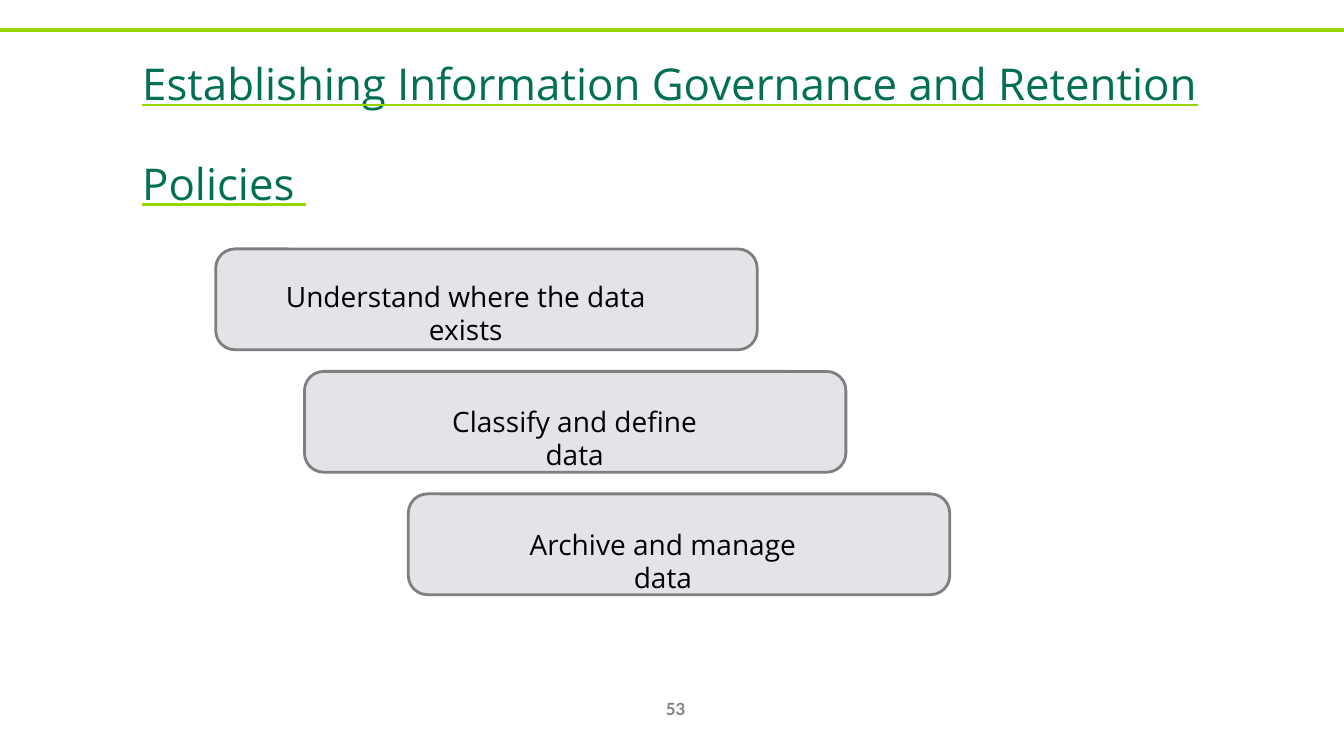
from dataclasses import dataclass

from lxml import etree
from pptx import Presentation
from pptx.dml.color import RGBColor
from pptx.enum import shapes, text
from pptx.oxml import ns
from pptx.slide import Slide
from pptx.text.text import Font
from pptx.util import Inches, Pt

LIME = RGBColor(0x95, 0xD6, 0x00)
GREEN = RGBColor(0x00, 0x6F, 0x53)
PALE_GREY = RGBColor(0xE4, 0xE3, 0xE8)
MID_GREY = RGBColor(0x7F, 0x7F, 0x7F)
NUMBER_GREY = RGBColor(0x80, 0x80, 0x80)
BLACK = RGBColor(0x00, 0x00, 0x00)

STEP_WIDTH, STEP_HEIGHT = 5.37, 1.0
STEP_TOP, STEP_PITCH = 2.47, 1.215


@dataclass
class Step:
    label: str
    left: float
    label_left: float
    label_top: float
    label_width: float


STEPS = [
    Step("Understand where the data exists", 2.14, 2.43, 2.72, 4.38),
    Step("Classify and define data", 3.02, 4.1, 3.96, 3.2),
    Step("Archive and manage data", 4.05, 4.87, 5.18, 3.41),
]


def style_font(font: Font, name: str, size: float, color: RGBColor) -> None:
    font.name = name
    font.size = Pt(size)
    font.color.rgb = color


def add_label(page: Slide, words: str, left: float, top: float, width: float,
              height: float) -> Font:
    """Add a centred text box and return the font of its only run."""
    box = page.shapes.add_textbox(Inches(left), Inches(top), Inches(width), Inches(height))
    box.text_frame.word_wrap = True
    box.text_frame.text = words
    para = box.text_frame.paragraphs[0]
    para.alignment = text.PP_ALIGN.CENTER
    return para.runs[0].font


def add_rule(page: Slide) -> None:
    rule = page.shapes.add_connector(shapes.MSO_CONNECTOR.STRAIGHT, 0, Inches(0.3),
                                     Inches(13.33), Inches(0.3))
    rule.line.color.rgb = LIME
    rule.line.width = Pt(3)
    etree.SubElement(rule._element.spPr, ns.qn("a:effectLst"))


def add_title(page: Slide) -> None:
    title = page.shapes.title
    title.left, title.top = Inches(1.31), Inches(0.61)
    title.width, title.height = Inches(11.63), Inches(1.25)
    frame = title.text_frame
    frame.text = "Establishing Information Governance and Retention Policies "
    frame.word_wrap = True
    frame.auto_size = text.MSO_AUTO_SIZE.NONE
    frame.vertical_anchor = text.MSO_ANCHOR.MIDDLE
    para = frame.paragraphs[0]
    para.alignment = text.PP_ALIGN.LEFT
    para.line_spacing = 1.1
    span = para.runs[0]
    style_font(span.font, "Open Sans", 54, GREEN)
    span.font.underline = True
    properties = span.font._element
    properties.set("baseline", "12000")
    underline = etree.Element(ns.qn("a:uFill"))
    fill = etree.SubElement(underline, ns.qn("a:solidFill"))
    etree.SubElement(fill, ns.qn("a:srgbClr"), val=str(LIME))
    properties.find(ns.qn("a:solidFill")).addnext(underline)


def add_step_box(page: Slide, left: float, top: float) -> None:
    box = page.shapes.add_shape(shapes.MSO_SHAPE.ROUNDED_RECTANGLE, Inches(left), Inches(top),
                                Inches(STEP_WIDTH), Inches(STEP_HEIGHT))
    box.adjustments[0] = 0.19
    box.shadow.inherit = False
    box.fill.solid()
    box.fill.fore_color.rgb = PALE_GREY
    box.line.color.rgb = MID_GREY
    box.line.width = Pt(2)


def main() -> None:
    deck = Presentation()
    deck.slide_width, deck.slide_height = Inches(13.33), Inches(7.5)
    page = deck.slides.add_slide(deck.slide_layouts[5])
    add_rule(page)
    add_title(page)
    for index, step in enumerate(STEPS):
        add_step_box(page, step.left, STEP_TOP + index * STEP_PITCH)
        font = add_label(page, step.label, step.label_left, step.label_top,
                         step.label_width, 0.44)
        style_font(font, "Open Sans", 20, BLACK)
    number_font = add_label(page, "53", 6.39, 6.88, 0.62, 0.32)
    style_font(number_font, "Lato", 12, NUMBER_GREY)
    number_font.bold = True
    deck.save("out.pptx")


if __name__ == "__main__":
    main()
